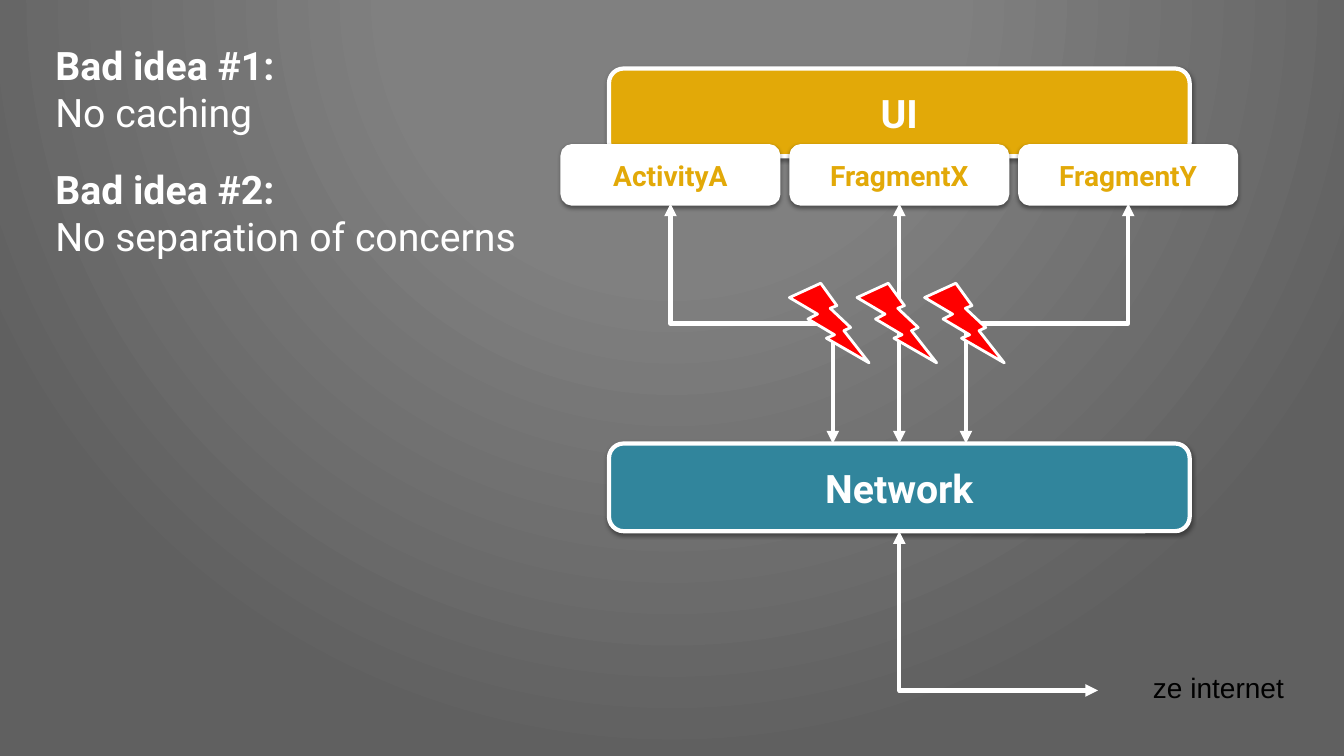
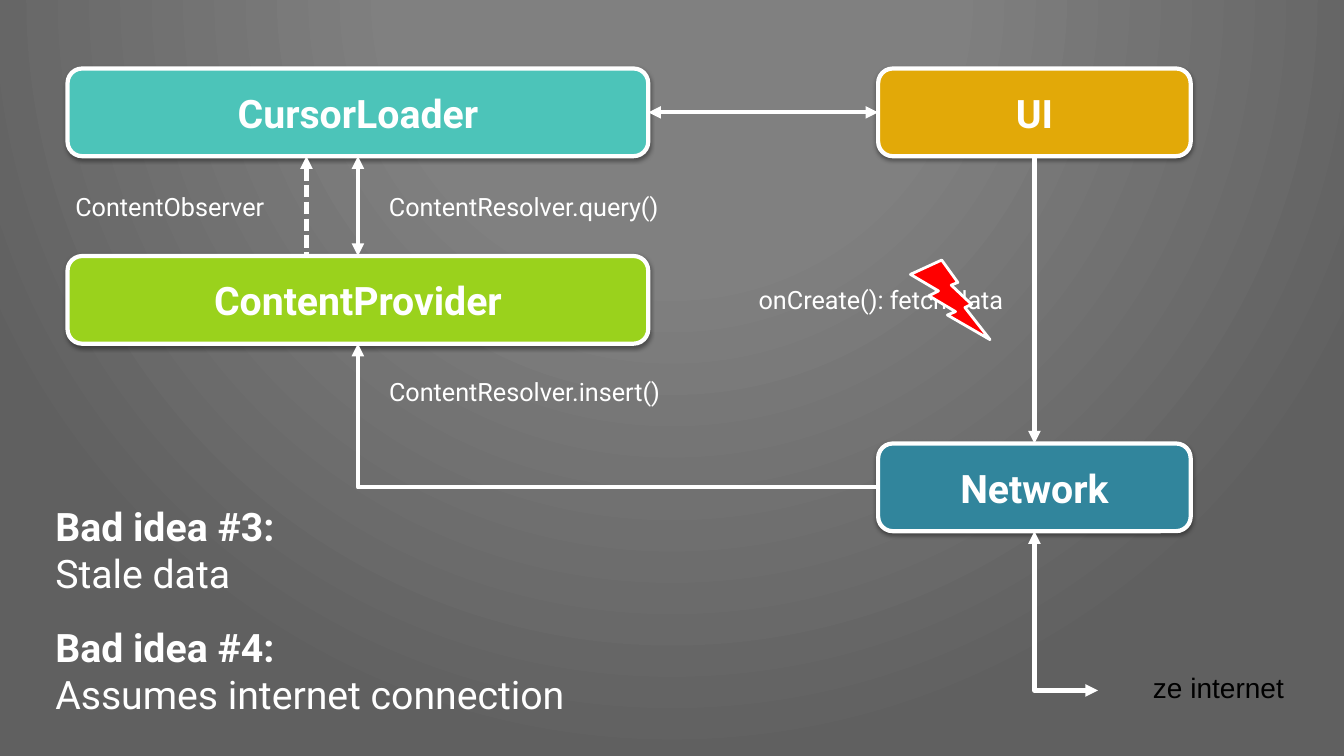
from lxml import etree
from pptx import Presentation
from pptx.dml.color import RGBColor
from pptx.enum.dml import MSO_LINE
from pptx.enum.shapes import MSO_CONNECTOR, MSO_SHAPE
from pptx.enum.text import MSO_ANCHOR, PP_ALIGN
from pptx.oxml import parse_xml
from pptx.oxml.ns import nsdecls, qn
from pptx.util import Pt

PX = 9144  # EMU in one px, 100 px to the inch
COLORS = {
    "white": "FFFFFF", "black": "000000", "red": "FF0000",
    "ui": "E2A908", "net": "31859C", "load": "4CC4B9", "store": "9AD21C",
    "glow": "808080", "edge": "606060",
}
BAR = 87  # height of a layer box
TOP, MID, LOW = 68, 254, 440  # rows of layer boxes
AXIS, EXIT = 685, 1089  # height and end of the internet arrow


def px(*vals):
    return [round(v * PX) for v in vals]


def rgb(name):
    return RGBColor.from_string(COLORS[name])


def write(shape, *lines, size=28, color="white", font="Roboto",
          heavy=0, align=PP_ALIGN.LEFT, wrap=True, anchor=MSO_ANCHOR.TOP):
    """Fill a shape with paragraphs; the first `heavy` ones are bold."""
    frame = shape.text_frame
    frame.word_wrap = wrap
    frame.vertical_anchor = anchor
    for i, line in enumerate(lines):
        para = frame.paragraphs[0] if i == 0 else frame.add_paragraph()
        para.alignment = align
        run = para.add_run()
        run.text = line
        run.font.name = font
        run.font.size = Pt(size)
        run.font.bold = i < heavy
        run.font.color.rgb = rgb(color)


def label(slide, box, *lines, **fmt):
    write(slide.shapes.add_textbox(*px(*box)), *lines, **fmt)


def form(slide, kind, box, fill, width):
    shape = slide.shapes.add_shape(kind, *px(*box))
    shape.shadow.inherit = False
    shape.fill.solid()
    shape.fill.fore_color.rgb = rgb(fill)
    shape.line.color.rgb = rgb("white")
    shape.line.width = Pt(width)
    return shape


def block(slide, box, text, fill, **fmt):
    """Rounded box with a soft shadow and a centred bold name."""
    shape = form(slide, MSO_SHAPE.ROUNDED_RECTANGLE, box, fill, 3)
    glow = shape._element.spPr.find(qn("a:effectLst"))
    glow.append(parse_xml(
        f'<a:outerShdw {nsdecls("a")} blurRad="40000" dist="20000" '
        'dir="5400000" rotWithShape="0"><a:srgbClr val="000000">'
        '<a:alpha val="38000"/></a:srgbClr></a:outerShdw>'))
    write(shape, text, heavy=1, align=PP_ALIGN.CENTER,
          anchor=MSO_ANCHOR.MIDDLE, **fmt)
    return shape


def bolt(slide, x, y):
    form(slide, MSO_SHAPE.LIGHTNING_BOLT, (x, y, 79, 79), "red", 2)


def arrow(slide, x1, y1, x2, y2, head=True, tail=True,
          kind=MSO_CONNECTOR.STRAIGHT, dash=None):
    wire = slide.shapes.add_connector(kind, *px(x1, y1, x2, y2))
    wire.line.color.rgb = rgb("white")
    wire.line.width = Pt(3)
    if dash:
        wire.line.dash_style = dash
    line = wire.line._get_or_add_ln()
    for tag, on in (("a:headEnd", head), ("a:tailEnd", tail)):
        if on:
            etree.SubElement(line, qn(tag), type="triangle")
    etree.SubElement(wire._element.spPr, qn("a:effectLst"))
    return wire


def link(slide, start, side, end, dock, **fmt):
    """Straight arrow between the sides of two boxes."""
    wire = arrow(slide, 0, 0, 0, 0, **fmt)
    wire.begin_connect(start, side)
    wire.end_connect(end, dock)


def elbow(slide, x1, y1, x2, y2, bends=1, **fmt):
    """Bent arrow that leaves its start downwards."""
    wire = arrow(slide, x1, y1, x2, y2, kind=MSO_CONNECTOR.ELBOW, **fmt)
    wide, high = abs(x2 - x1), y2 - y1
    # The turned frame keeps its centre and swaps width and height
    left, top = (x1 + x2 - high) / 2, (y1 + y2 - wide) / 2
    wire.left, wire.top, wire.width, wire.height = px(left, top, high, wide)
    part = wire._element.spPr
    frame = part.find(qn("a:xfrm"))
    frame.attrib.pop("flipH", None)
    if x2 > x1:
        frame.set("flipH", "1")
    frame.set("rot", str((270 if x2 > x1 else 90) * 60000))
    part.find(qn("a:prstGeom")).set("prst", f"bentConnector{bends + 1}")


def idea(slide, y, num, text):
    label(slide, (45, y, 535, 104), f"Bad idea #{num}:", text, heavy=1)


def cloud(slide, x):
    """Arrow from the network box out to the internet."""
    elbow(slide, x, LOW + BAR, EXIT, AXIS)
    label(slide, (1124, 660, 169, 44), "ze internet", size=20, color="black",
          font="Arial", align=PP_ALIGN.CENTER, wrap=False)


def backdrop(master):
    master.background.fill.solid()
    fill = master._element.find(".//" + qn("p:bgPr") + "/" + qn("a:solidFill"))
    stops = "".join(
        f'<a:gs pos="{pos}"><a:srgbClr val="{COLORS[name]}"/></a:gs>'
        for pos, name in ((0, "glow"), (35000, "glow"), (100000, "edge")))
    fill.getparent().replace(fill, parse_xml(
        f'<a:gradFill {nsdecls("a")} rotWithShape="1"><a:gsLst>{stops}'
        '</a:gsLst><a:path path="circle"><a:fillToRect l="50000" t="-80000" '
        'r="50000" b="180000"/></a:path></a:gradFill>'))


def direct(slide):
    """Screens that call the network themselves."""
    left, wide = 604, 576
    mid = left + wide // 2
    block(slide, (left, TOP, wide, BAR), "UI", "ui")
    net = block(slide, (left, LOW, wide, BAR), "Network", "net")
    cloud(slide, mid)

    # Screens, 227 px apart
    step, tab, foot = 227, 214, 202
    names = ("ActivityA", "FragmentX", "FragmentY")
    tabs = [block(slide, (mid - tab // 2 + step * i, 145, tab, 57), name,
                  "white", size=20, color="ui")
            for i, name in enumerate(names, -1)]

    # Calls, each struck by a bolt
    for side in (1, -1):
        elbow(slide, mid + step * side, foot, mid + 66 * side, LOW, bends=2)
    link(slide, tabs[1], 2, net, 0)
    for i in (1, 0, 2):
        bolt(slide, 783 + 67 * i, 281)

    idea(slide, 36, 1, "No caching")
    idea(slide, 159, 2, "No separation of concerns")


def stored(slide):
    """Data that passes through a content provider."""
    left, wide = 67, 576
    mid = left + wide // 2
    right, slim = 871, 310
    ui = block(slide, (right, TOP, slim, BAR), "UI", "ui")
    load = block(slide, (left, TOP, wide, BAR), "CursorLoader", "load")
    net = block(slide, (right, LOW, slim, BAR), "Network", "net")
    store = block(slide, (left, MID, wide, BAR), "ContentProvider", "store")

    # Flow between the boxes
    cloud(slide, right + slim // 2)
    link(slide, load, 2, store, 0)
    link(slide, load, 3, ui, 1)
    link(slide, ui, 2, net, 0, head=False)
    arrow(slide, 304, TOP + BAR, 304, MID, tail=False, dash=MSO_LINE.SQUARE_DOT)
    elbow(slide, mid, MID + BAR, right, LOW + BAR / 2, tail=False)

    # Names of the calls
    for x, y, width, text, align in (
            (376, 185, 377, "ContentResolver.query()", PP_ALIGN.LEFT),
            (21, 185, 251, "ContentObserver", PP_ALIGN.RIGHT),
            (376, 368, 339, "ContentResolver.insert()", PP_ALIGN.LEFT),
            (682, 277, 323, "onCreate(): fetch data", PP_ALIGN.RIGHT)):
        label(slide, (x, y, width, 40), text, size=18, align=align)
    bolt(slide, 903, 258)

    idea(slide, 493, 3, "Stale data")
    idea(slide, 613, 4, "Assumes internet connection")


def main():
    deck = Presentation()
    deck.slide_width, deck.slide_height = px(1333, 750)
    backdrop(deck.slide_master)
    for draw in (direct, stored):
        draw(deck.slides.add_slide(deck.slide_layouts[6]))
    deck.save("out.pptx")


if __name__ == "__main__":
    main()
